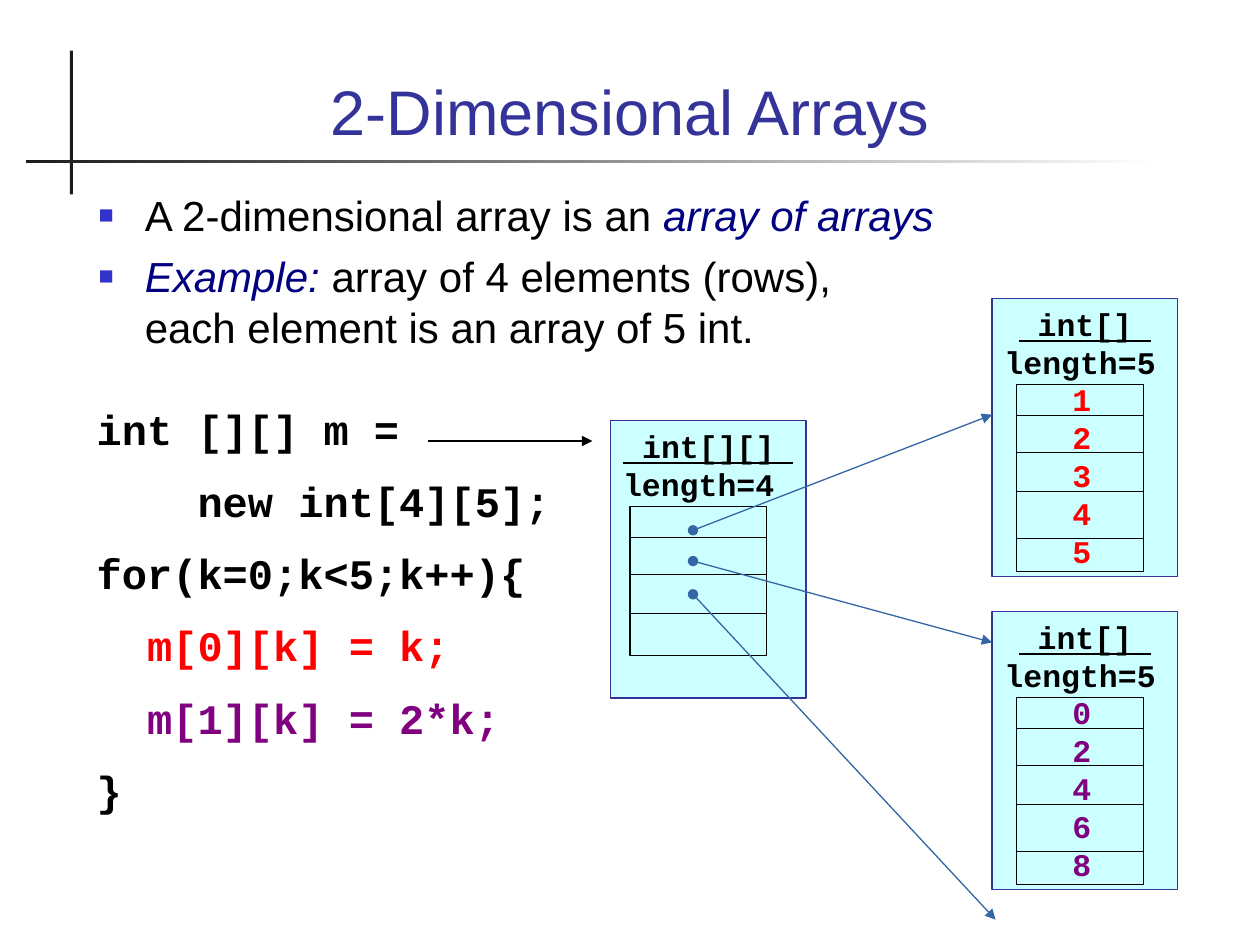
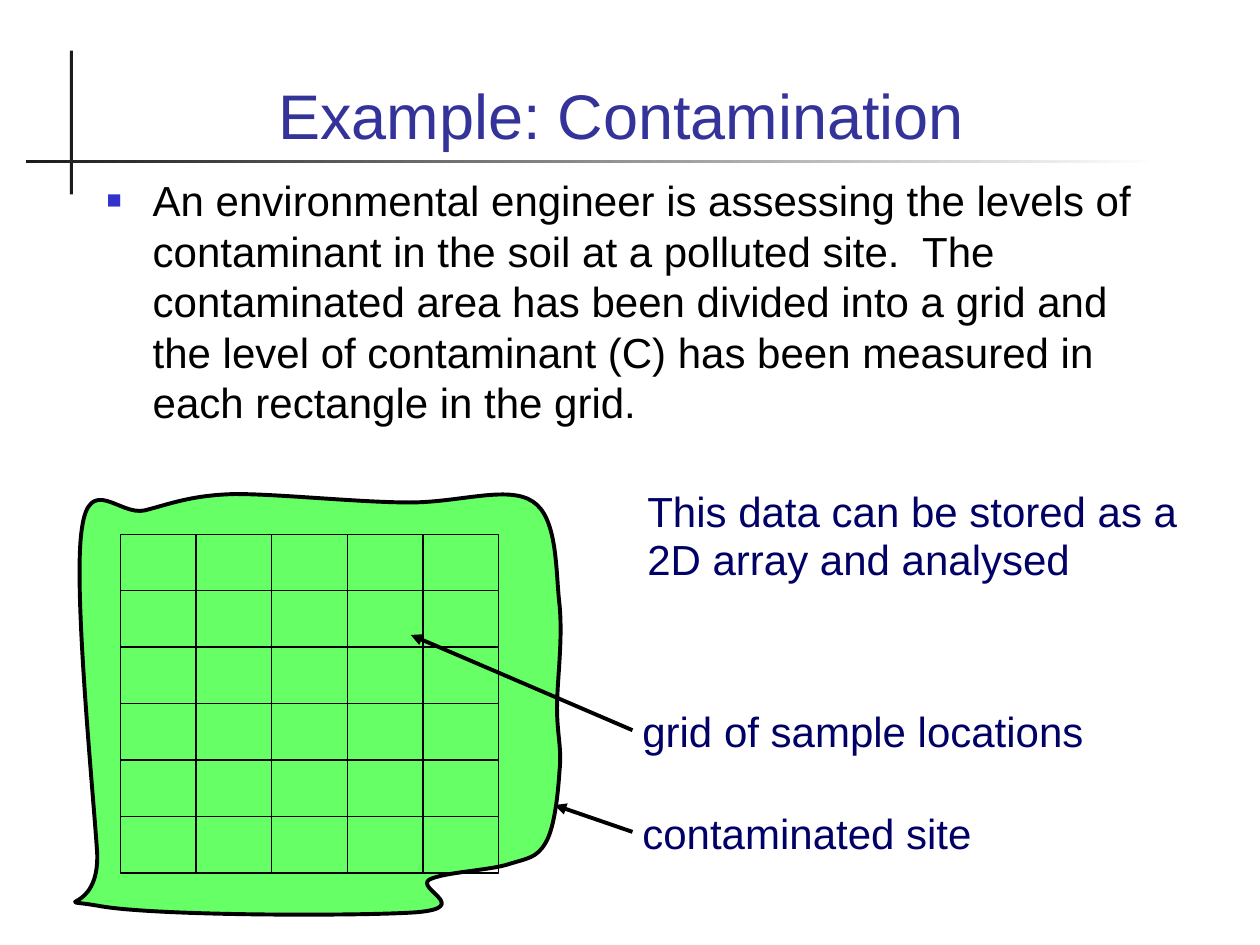
from dataclasses import dataclass
from typing import Any, NamedTuple

import lxml.etree
import pptx
import pptx.dml.color
import pptx.enum.shapes
import pptx.enum.text
import pptx.oxml
import pptx.oxml.ns
import pptx.util

Cm = pptx.util.Cm
Pt = pptx.util.Pt
qn = pptx.oxml.ns.qn
RECTANGLE = pptx.enum.shapes.MSO_SHAPE.RECTANGLE
STRAIGHT = pptx.enum.shapes.MSO_CONNECTOR.STRAIGHT
ANCHOR = pptx.enum.text.MSO_ANCHOR
ALIGN = pptx.enum.text.PP_ALIGN

COLOURS = {
    "black": "000000", "white": "FFFFFF", "band": "1C1C1C", "title": "333399",
    "bullet": "3333CC", "emphasis": "000080", "label": "000066", "first_row": "FF0000",
    "second_row": "800080", "object_fill": "CCFFFF", "pointer": "3465A4", "site": "66FF66",
}
FONTS = {
    "title": {"name": "Arial", "size": Pt(36)},
    "body": {"name": "Arial", "size": Pt(24)},
    "code": {"name": "Courier New", "size": Pt(24), "bold": True},
    "object": {"name": "Courier New", "size": Pt(18), "bold": True},
}


class Box(NamedTuple):
    """Left, top, width and height in centimetres."""
    left: float
    top: float
    width: float
    height: float

    def lengths(self) -> list[int]:
        return [Cm(value) for value in self]


class Point(NamedTuple):
    x: float
    y: float


class Span(NamedTuple):
    text: str
    colour: str = "black"
    extra: dict[str, Any] = {}


@dataclass
class Paragraph:
    spans: list[Span]
    align: Any = ALIGN.LEFT
    space_before: float = 0
    line_spacing: float | None = None
    indent: float = 0
    hanging: float = 0
    bullet: bool = False


@dataclass
class ArrayObject:
    """A heap object: its outer box, header lines and the frame of its elements."""
    box: Box
    frame: Box
    type_name: str
    length: int
    row_lines: list[float]
    values: list[int]
    colour: str = "black"


@dataclass
class Arrow:
    start: Point
    end: Point
    colour: str = "black"
    width: float = 0.75
    head: str | None = None
    tail: str | None = "triangle"


ROW_LINES = [0.63, 1.37, 2.16, 3.1]
ARRAY_OBJECTS = [
    ArrayObject(Box(12.31, 8.48, 3.94, 5.59), Box(12.7, 10.21, 2.76, 3),
                "int[][]", 4, ROW_LINES[:3], []),
] + [
    ArrayObject(Box(20, top, 3.74, 5.6), Box(20.49, top + 1.73, 2.57, 3.77),
                "int[]", 5, ROW_LINES, values, colour)
    for top, values, colour in [(6.02, [1, 2, 3, 4, 5], "first_row"),
                                (12.33, [0, 2, 4, 6, 8], "second_row")]
]
POINTERS = [
    Arrow(Point(13.97, y), end, "pointer", head="oval")
    for y, end in [(10.69, Point(20, 8.36)), (11.31, Point(20, 12.95)),
                   (11.98, Point(20.07, 18.54))]
]
CODE = [
    [Span("int [][] m =")],
    [Span("    new int[4][5];")],
    [Span("for(k=0;k<5;k++){")],
    [Span("  "), Span("m[0][k] = k;", "first_row")],
    [Span("  "), Span("m[1][k] = 2*k;", "second_row")],
    [Span("}")],
]
SITE_START = Point(2.92, 10.29)
SITE_CURVES = [  # two control points and an end point for each curve
    (3.43, 10.16, 3.86, 9.98, 4.75, 9.96),
    (5.64, 9.96, 7.26, 10.13, 8.26, 10.13),
    (9.27, 10.13, 10.24, 9.78, 10.74, 10.11),
    (11.25, 10.44, 11.2, 11.51, 11.28, 12.19),
    (11.35, 12.9, 11.23, 13.72, 11.23, 14.27),
    (11.23, 14.81, 11.33, 15.09, 11.28, 15.54),
    (11.25, 16, 11.18, 16.69, 11, 16.99),
    (10.82, 17.3, 10.64, 17.3, 10.26, 17.42),
    (9.86, 17.55, 8.97, 17.58, 8.66, 17.73),
    (8.36, 17.91, 9.53, 18.29, 8.41, 18.39),
    (7.32, 18.47, 3.07, 18.47, 1.98, 18.26),
    (0.91, 18.08, 2.01, 18.47, 1.96, 17.2),
    (1.88, 15.95, 1.47, 11.84, 1.65, 10.67),
    (1.8, 9.53, 2.41, 10.41, 2.92, 10.29),
]
GRID = Box(2.43, 10.77, 7.62, 6.83)
GRID_COLUMNS, GRID_ROWS = 5, 6


def rgb(name: str) -> pptx.dml.color.RGBColor:
    return pptx.dml.color.RGBColor.from_string(COLOURS[name])


def paint(shape: Any, fill: str | None, line: str | None = None, width: float = 0.75) -> None:
    shape.shadow.inherit = False
    if fill:
        shape.fill.solid()
        shape.fill.fore_color.rgb = rgb(fill)
    else:
        shape.fill.background()
    if line:
        shape.line.color.rgb = rgb(line)
        shape.line.width = Pt(width)
    else:
        shape.line.fill.background()


def add_rectangle(parent: Any, box: Box, fill: str | None, line: str | None = None) -> Any:
    """Add a rectangle to a slide or a group."""
    shape = parent.shapes.add_shape(RECTANGLE, *box.lengths())
    paint(shape, fill, line)
    return shape


def add_bullet(properties: Any) -> None:
    colour = lxml.etree.SubElement(properties, qn("a:buClr"))
    lxml.etree.SubElement(colour, qn("a:srgbClr"), val=COLOURS["bullet"])
    lxml.etree.SubElement(properties, qn("a:buSzPct"), val="60000")
    lxml.etree.SubElement(properties, qn("a:buFont"), typeface="Arial")
    lxml.etree.SubElement(properties, qn("a:buChar"), char="■")


def write(shape: Any, paragraphs: list[Paragraph], font: str,
          anchor: Any = ANCHOR.TOP, wrap: bool = True) -> None:
    frame = shape.text_frame
    frame.word_wrap = wrap
    frame.vertical_anchor = anchor
    for index, content in enumerate(paragraphs):
        paragraph = frame.add_paragraph() if index else frame.paragraphs[0]
        properties = paragraph._p.get_or_add_pPr()
        properties.set("marL", str(Cm(content.indent)))
        properties.set("indent", str(-Cm(content.hanging)))
        if content.bullet:
            add_bullet(properties)
        paragraph.alignment = content.align
        paragraph.line_spacing = content.line_spacing
        if index:
            paragraph.space_before = Pt(content.space_before)
        for span in content.spans:
            for number, line in enumerate(span.text.split("\n")):
                if number:
                    paragraph.add_line_break()
                run = paragraph.add_run()
                run.text = line
                for attribute, value in {**FONTS[font], **span.extra}.items():
                    setattr(run.font, attribute, value)
                run.font.color.rgb = rgb(span.colour)


def add_text(slide: Any, box: Box, paragraphs: list[Paragraph], font: str = "body",
             anchor: Any = ANCHOR.TOP, wrap: bool = True) -> None:
    write(slide.shapes.add_textbox(*box.lengths()), paragraphs, font, anchor, wrap)


def add_arrow(slide: Any, arrow: Arrow) -> None:
    ends = [Cm(value) for value in (*arrow.start, *arrow.end)]
    connector = slide.shapes.add_connector(STRAIGHT, *ends)
    connector.line.color.rgb = rgb(arrow.colour)
    connector.line.width = Pt(arrow.width)
    line = connector.line._get_or_add_ln()
    for tag, kind in (("a:headEnd", arrow.head), ("a:tailEnd", arrow.tail)):
        if kind:
            lxml.etree.SubElement(line, qn(tag), type=kind)
    lxml.etree.SubElement(connector._element.spPr, qn("a:effectLst"))


def add_titled_slide(presentation: Any, title: str, title_box: Box) -> Any:
    """Add a blank slide with the crossed bands and the title."""
    slide = presentation.slides.add_slide(presentation.slide_layouts[6])
    bands = slide.shapes.add_group_shape()
    add_rectangle(bands, Box(1.41, 1.02, 0.06, 2.9), "band")
    fading_band = add_rectangle(bands, Box(0.53, 3.23, 22.83, 0.06), "band")
    fading_band.fill.gradient()
    fading_band.fill.gradient_angle = 0
    for stop, colour in zip(fading_band.fill.gradient_stops, ("band", "white")):
        stop.color.rgb = rgb(colour)
    add_text(slide, title_box, [Paragraph([Span(title, "title")], ALIGN.CENTER)],
             "title", ANCHOR.BOTTOM)
    return slide


def add_bullets(slide: Any, box: Box, items: list[list[Span]]) -> None:
    add_text(slide, box, [Paragraph(spans, space_before=6, indent=0.93, hanging=0.93, bullet=True)
                          for spans in items])


def add_array_object(slide: Any, array: ArrayObject) -> None:
    header = Span(f" {array.type_name} ", extra={"underline": True})
    paragraphs = [Paragraph([header], ALIGN.CENTER), Paragraph([Span(f"length={array.length}")])]
    paragraphs += [Paragraph([Span(str(value), array.colour)], indent=1.37)
                   for value in array.values]
    write(add_rectangle(slide, array.box, "object_fill", "title"), paragraphs, "object")
    frame = array.frame
    add_rectangle(slide, frame, None, "black")
    for offset in array.row_lines:
        y = frame.top + offset
        add_arrow(slide, Arrow(Point(frame.left, y), Point(frame.left + frame.width, y), tail=None))


def add_site(slide: Any) -> None:
    """Draw the outline of the site, turning each three segments into one curve."""
    builder = slide.shapes.build_freeform(*[Cm(value) for value in SITE_START])
    builder.add_line_segments([(Cm(x), Cm(y)) for curve in SITE_CURVES
                               for x, y in zip(curve[::2], curve[1::2])], close=True)
    site = builder.convert_to_shape()
    segments = list(site._element.iter(qn("a:lnTo")))
    for first in range(0, len(segments), 3):
        curve = lxml.etree.Element(qn("a:cubicBezTo"))
        segments[first].addprevious(curve)
        for segment in segments[first:first + 3]:
            curve.append(segment[0])
            segment.getparent().remove(segment)
    paint(site, "site", "black", 2.25)


def add_sample_grid(slide: Any) -> None:
    group = slide.shapes.add_group_shape()
    width, height = GRID.width / GRID_COLUMNS, GRID.height / GRID_ROWS
    for row in range(GRID_ROWS):
        for column in range(GRID_COLUMNS):
            cell = Box(GRID.left + column * width, GRID.top + row * height, width, height)
            add_rectangle(group, cell, None, "black")


def build_arrays_slide(presentation: Any) -> None:
    slide = add_titled_slide(presentation, "2-Dimensional Arrays", Box(1.7, 0.71, 22, 2.41))
    italic = {"italic": True}
    add_bullets(slide, Box(1.74, 3.7, 22, 3.84), [
        [Span("A 2-dimensional array is an "), Span("array of arrays", "emphasis", italic)],
        [Span("Example: ", "emphasis", italic),
         Span("array of 4 elements (rows), \neach element is an array of 5 int.")],
    ])
    add_text(slide, Box(1.7, 8, 9.65, 10),
             [Paragraph(spans, space_before=12.5) for spans in CODE], "code", wrap=False)
    for array in ARRAY_OBJECTS:
        add_array_object(slide, array)
    for arrow in [Arrow(Point(8.62, 8.89), Point(11.94, 8.89)), *POINTERS]:
        add_arrow(slide, arrow)


def build_contamination_slide(presentation: Any) -> None:
    slide = add_titled_slide(presentation, "Example: Contamination ", Box(1.9, 1.13, 21.6, 2.06))
    add_site(slide)
    add_bullets(slide, Box(1.9, 3.4, 21.6, 6.12), [[Span(
        "An environmental engineer is assessing the levels of contaminant in the soil at a "
        "polluted site.  The contaminated area has been divided into a grid and the level of "
        "contaminant (C) has been measured in each rectangle in the grid.")]])
    add_text(slide, Box(11.84, 9.53, 12.78, 3), [Paragraph(
        [Span("\t", "label", {"size": Pt(32)}),
         Span("This data can be stored as a 2D array and analysed", "label")],
        line_spacing=0.9, indent=0.96, hanging=0.91)])
    for box, text in [(Box(12.7, 14.1, 10.95, 1.27), "grid of sample locations"),
                      (Box(12.7, 16.15, 8.74, 1.27), "contaminated site")]:
        add_text(slide, box, [Paragraph([Span(text, "label")])])
    add_sample_grid(slide)
    for start, end in [(Point(12.75, 14.72), Point(8.28, 12.8)),
                       (Point(12.75, 16.77), Point(11.18, 16.23))]:
        add_arrow(slide, Arrow(start, end, width=2.25))


def main() -> None:
    presentation = pptx.Presentation()
    presentation.slide_width, presentation.slide_height = Cm(25.4), Cm(19.05)
    build_arrays_slide(presentation)
    build_contamination_slide(presentation)
    presentation.save("out.pptx")


if __name__ == "__main__":
    main()
